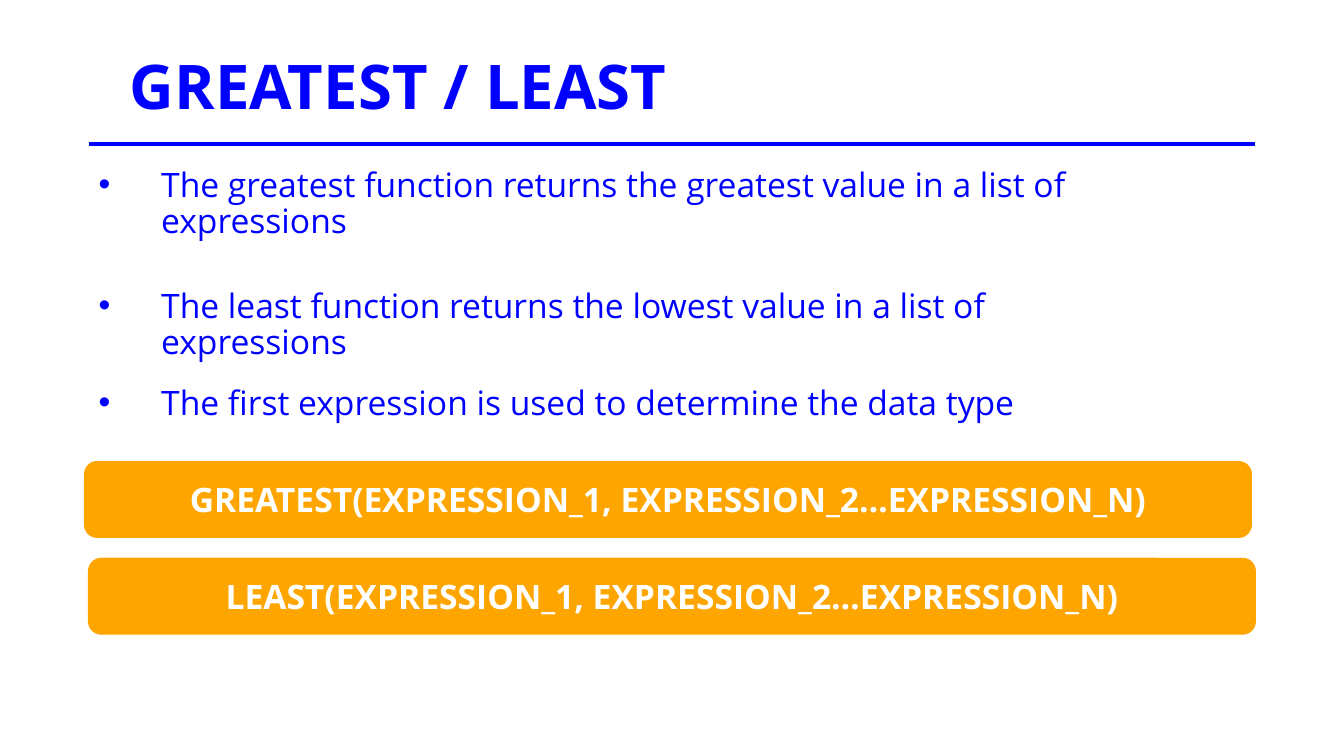
from pptx import Presentation
from pptx import util as u
from pptx.dml.color import RGBColor
from pptx.enum import shapes, text
from pptx.oxml import parse_xml
from pptx.oxml.ns import nsdecls

BLUE = RGBColor(0x00, 0x00, 0xFF)
ORANGE = RGBColor(0xFF, 0xA5, 0x00)
WHITE = RGBColor(0xFF, 0xFF, 0xFF)
FONT = "Open Sans"
LEFT, TEXT_W, RULE_W = 0.88, 10.89, 11.57
INDENT = 0.62

TITLE = {"size": u.Pt(44), "bold": True, "color": BLUE}
BODY = {"size": u.Pt(24), "bold": False, "color": BLUE}
CODE = {"size": u.Pt(24), "bold": True, "color": WHITE}

BULLETS = [
    (1.62, 1.04, "The greatest function returns the greatest value in a list of expressions"),
    (2.82, 0.81, "The least function returns the lowest value in a list of expressions"),
    (3.78, 0.81, "The first expression is used to determine the data type"),
]
SYNTAX = [
    (0.84, 4.58, "GREATEST(EXPRESSION_1, EXPRESSION_2…EXPRESSION_N)"),
    (LEFT, 5.54, "LEAST(EXPRESSION_1, EXPRESSION_2…EXPRESSION_N)"),
]


def add_block(s, box, words, fmt, kind, fill, anchor, align, spacing):
    sp = s.shapes.add_shape(kind, *map(u.Inches, box))
    sp.shadow.inherit = False
    sp.fill.solid()
    sp.fill.fore_color.rgb = fill
    sp.line.fill.background()
    tf = sp.text_frame
    tf.word_wrap = True
    tf.vertical_anchor = anchor
    p = tf.paragraphs[0]
    p.alignment = align
    p.line_spacing = spacing
    r = p.add_run()
    r.text = words
    r.font.name = FONT
    r.font.color.rgb = fmt["color"]
    for name in ("size", "bold"):
        setattr(r.font, name, fmt[name])
    return sp


def add_text(s, box, words, fmt):
    return add_block(s, box, words, fmt, shapes.MSO_SHAPE.RECTANGLE, WHITE,
                     text.MSO_ANCHOR.TOP, text.PP_ALIGN.LEFT, 0.9)


def add_header(s, box):
    x, y, w, h = box
    add_text(s, (x + 0.31, y, TEXT_W, 0.77), "GREATEST / LEAST", TITLE)
    rule = s.shapes.add_connector(shapes.MSO_CONNECTOR.STRAIGHT,
                                  *map(u.Inches, (x, y + h, x + w, y + h)))
    rule.line.color.rgb = BLUE
    rule.line.width = u.Pt(3)
    rule._element.spPr.append(parse_xml(f"<a:effectLst {nsdecls('a')}/>"))


def add_bullet(s, box, words):
    sp = add_text(s, box, words, BODY)
    pPr = sp.text_frame.paragraphs[0]._p.get_or_add_pPr()
    pPr.set("marL", str(u.Inches(INDENT)))
    pPr.set("indent", str(-u.Inches(INDENT)))
    pPr.append(parse_xml(f'<a:buFont {nsdecls("a")} typeface="Arial"/>'))
    pPr.append(parse_xml(f'<a:buChar {nsdecls("a")} char="•"/>'))


def add_syntax(s, box, words):
    sp = add_block(s, box, words, CODE, shapes.MSO_SHAPE.ROUNDED_RECTANGLE, ORANGE,
                   text.MSO_ANCHOR.MIDDLE, text.PP_ALIGN.CENTER, 1.0)
    sp.line.color.rgb = ORANGE
    sp.line.width = u.Pt(1)


def main():
    prs = Presentation()
    prs.slide_width, prs.slide_height = u.Inches(13.33), u.Inches(7.5)
    s = prs.slides.add_slide(prs.slide_layouts[6])
    add_header(s, (LEFT, 0.51, RULE_W, 0.92))
    for y, h, words in BULLETS:
        add_bullet(s, (LEFT, y, TEXT_W, h), words)
    for x, y, words in SYNTAX:
        add_syntax(s, (x, y, RULE_W, 0.75), words)
    prs.save("out.pptx")


if __name__ == "__main__":
    main()
